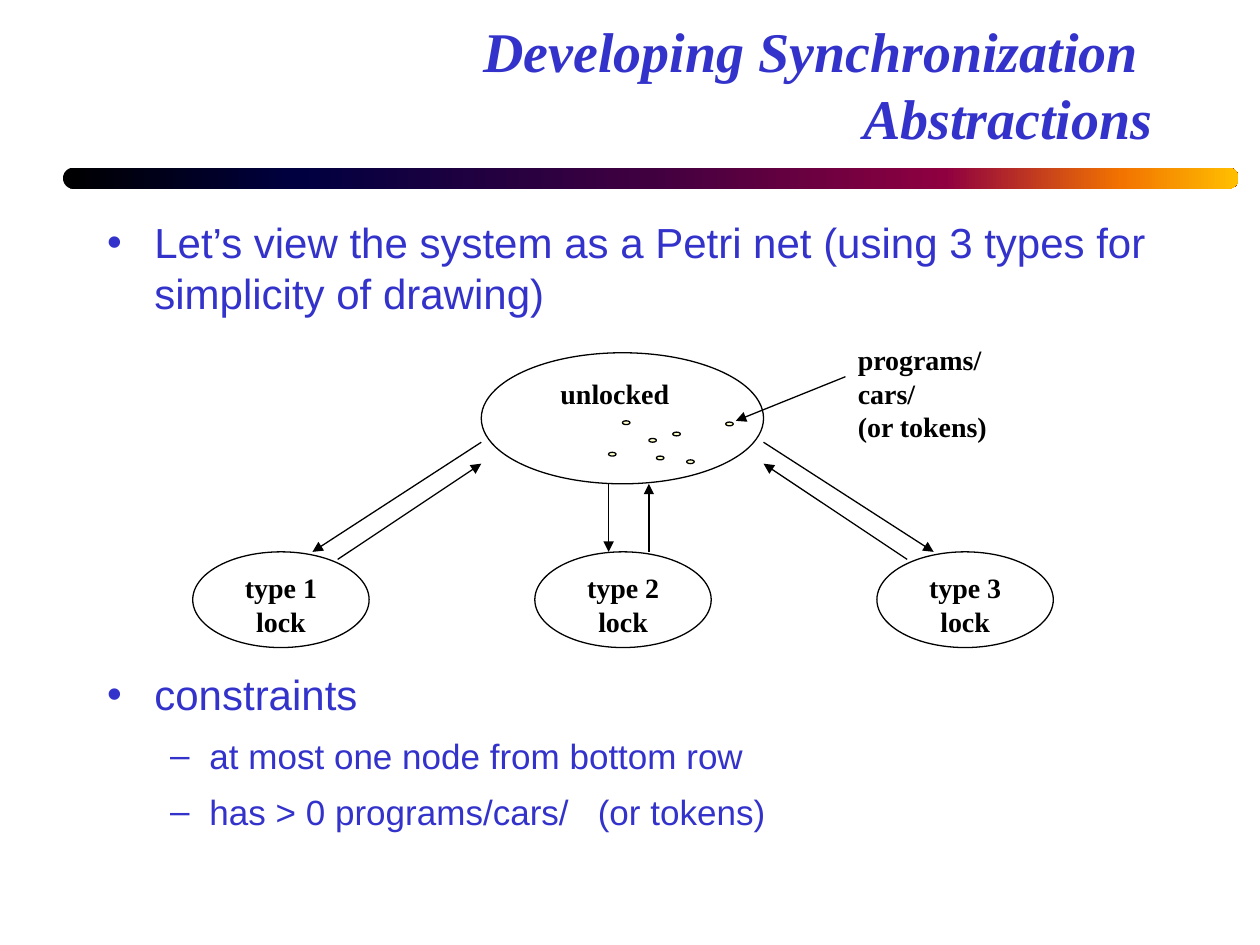
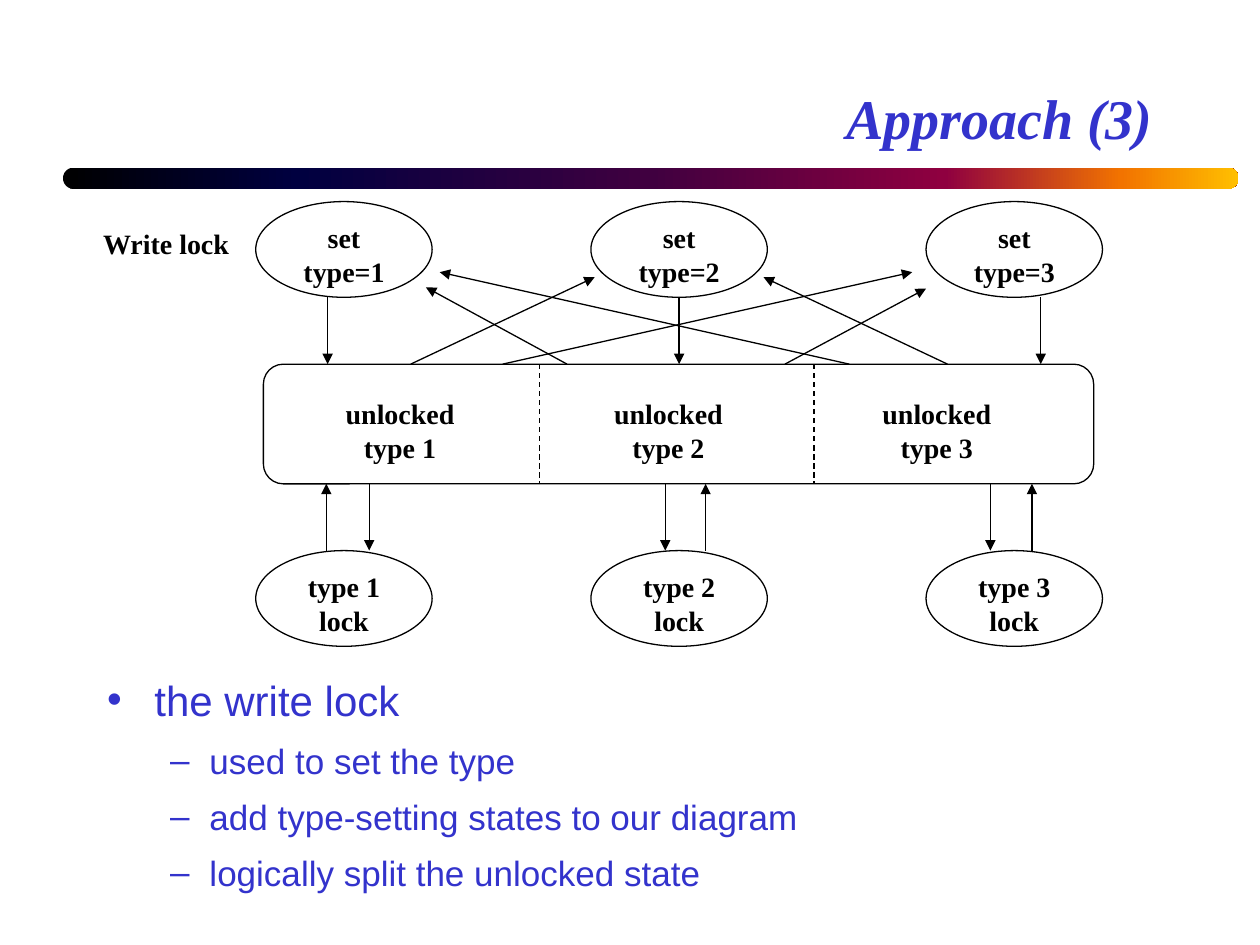
"""Build two slides that show locks as Petri nets."""
import copy
import dataclasses

import pptx
import pptx.dml.color
import pptx.enum.dml
import pptx.enum.shapes
import pptx.enum.text
import pptx.oxml
import pptx.oxml.ns
import pptx.util

Inches = pptx.util.Inches
Pt = pptx.util.Pt
SHAPE = pptx.enum.shapes.MSO_SHAPE
ALIGN = pptx.enum.text.PP_ALIGN
ANCHOR = pptx.enum.text.MSO_ANCHOR
SIZING = pptx.enum.text.MSO_AUTO_SIZE


@dataclasses.dataclass(frozen=True)
class Theme:
    """Colours, fonts and type sizes of both slides."""
    blue: str = "3333CC"
    ink: str = "000000"
    token: str = "FFFFCC"
    serif: str = "Times New Roman"
    sans: str = "Arial"
    title: int = 32
    levels: tuple = (24, 20)
    label: int = 16
    line: float = 0.75
    band: tuple = ((0, "000000"), (0.2, "000040"), (0.5, "400040"),
                   (0.75, "8F0040"), (0.9, "F27300"), (1, "FFBF00"))


THEME = Theme()
OVAL = (1.4, 0.76)


def rgb(code):
    """Turn a hex code into a colour."""
    return pptx.dml.color.RGBColor.from_string(code)


def place(shape, left, top, width, height):
    """Move and size a shape in inches."""
    shape.left, shape.top = Inches(left), Inches(top)
    shape.width, shape.height = Inches(width), Inches(height)


def style(para, face, size, color, bold=False, slant=False):
    """Format every run of a paragraph."""
    for run in para.runs:
        font = run.font
        font.name, font.size = face, Pt(size)
        font.bold, font.italic = bold, slant
        font.color.rgb = rgb(color)


def add_band(slide, layout):
    """Draw the gradient band and hand it to the layout."""
    band = slide.shapes.add_shape(SHAPE.ROUNDED_RECTANGLE, Inches(0.5),
                                  Inches(1.33), Inches(9.33), Inches(0.17))
    band.adjustments[0] = 0.5
    band.shadow.inherit = False
    band.line.fill.background()
    band.fill.gradient()
    band.fill.gradient_angle = 0
    stops = next(band._element.iter(pptx.oxml.ns.qn("a:gsLst")))
    while len(stops) < len(THEME.band):
        stops.append(copy.deepcopy(stops[0]))
    for stop, (pos, color) in zip(band.fill.gradient_stops, THEME.band):
        stop.position = pos
        stop.color.rgb = rgb(color)
    layout.shapes._spTree.insert(2, band._element)


def set_title(slide, text):
    """Write the title, right aligned above the band."""
    title = slide.shapes.title
    place(title, 0.75, 0.25, 8.5, 1)
    frame = title.text_frame
    frame.text = text
    frame.auto_size = SIZING.NONE
    frame.vertical_anchor = ANCHOR.BOTTOM
    para = frame.paragraphs[0]
    para.alignment = ALIGN.RIGHT
    style(para, THEME.serif, THEME.title, THEME.blue, True, True)


def set_body(slide, top, height, items):
    """Write (level, text) items as bullets and return the frame."""
    body = slide.placeholders[1]
    place(body, 0.75, top, 8.5, height)
    frame = body.text_frame
    frame.text = "\n".join(text for _, text in items)
    frame.auto_size = SIZING.NONE
    frame.vertical_anchor = ANCHOR.TOP
    for para, (level, _) in zip(frame.paragraphs, items):
        size = THEME.levels[level]
        para.level = level
        para.space_before = para.space_after = Pt(size * 0.2)
        style(para, THEME.sans, size, THEME.blue)
    return frame


def add_label(slide, text, box, align=ALIGN.LEFT, pad=None):
    """Add bold serif text, one paragraph a line."""
    frame = slide.shapes.add_textbox(*map(Inches, box)).text_frame
    frame.text = text
    frame.word_wrap = False
    frame.auto_size = SIZING.SHAPE_TO_FIT_TEXT
    if pad is not None:
        frame.margin_left = frame.margin_right = Inches(pad)
        frame.margin_top = frame.margin_bottom = Inches(pad)
    for para in frame.paragraphs:
        para.alignment = align
        style(para, THEME.serif, THEME.label, THEME.ink, True)


def add_form(slide, kind, box, fill=None):
    """Add a thinly outlined shape."""
    form = slide.shapes.add_shape(kind, *map(Inches, box))
    form.shadow.inherit = False
    form.line.color.rgb = rgb(THEME.ink)
    form.line.width = Pt(THEME.line)
    if fill:
        form.fill.solid()
        form.fill.fore_color.rgb = rgb(fill)
    else:
        form.fill.background()


def add_node(slide, left, top, text, width):
    """Add an oval with two centred lines of text."""
    add_form(slide, SHAPE.OVAL, (left, top, *OVAL))
    inset = (OVAL[0] - width) / 2
    add_label(slide, text, (left + inset, top + 0.15, width, 0.54),
              ALIGN.CENTER, 0)


def add_line(slide, ends, dash=False):
    """Add a dashed line or an arrow that points at its end."""
    link = slide.shapes.add_connector(
        pptx.enum.shapes.MSO_CONNECTOR.STRAIGHT, *map(Inches, ends))
    link.line.color.rgb = rgb(THEME.ink)
    link.line.width = Pt(THEME.line)
    qn = pptx.oxml.ns.qn
    if dash:
        link.line.dash_style = pptx.enum.dml.MSO_LINE.DASH
    else:
        tip = link.line._get_or_add_ln().makeelement(
            qn("a:tailEnd"), {"type": "triangle"})
        link.line._get_or_add_ln().append(tip)
    props = link._element.spPr
    props.append(props.makeelement(qn("a:effectLst"), {}))


def draw_net(slide):
    """Show one unlocked state above three lock states."""
    set_title(slide, "Developing Synchronization \vAbstractions")
    frame = set_body(slide, 1.67, 5, (
        (0, "Let’s view the system as a Petri net (using 3 types for "
            "simplicity of drawing)"),
        (0, "constraints"),
        (1, "at most one node from bottom row"),
        (1, "has > 0 programs/cars/   (or tokens)")))
    frame.paragraphs[1].space_before = Pt(196)
    add_form(slide, SHAPE.OVAL, (3.82, 2.8, 2.24, 1.04))
    for col in range(3):
        add_node(slide, 1.53 + col * 5.43 / 2, 4.38,
                 f"type {col + 1}\nlock", 0.58)
    for left, top in ((5.15, 3.48), (4.83, 3.59), (4.94, 3.34), (5.76, 3.35),
                      (5.21, 3.62), (5.45, 3.65), (5.34, 3.43)):
        add_form(slide, SHAPE.OVAL, (left, top, 0.06, 0.03), THEME.token)
    for ends in ((6.71, 2.99, 5.84, 3.34),
                 (3.82, 3.51, 2.48, 4.38), (2.68, 4.44, 3.82, 3.68),
                 (6.06, 3.51, 7.41, 4.38), (7.2, 4.44, 6.06, 3.68),
                 (4.83, 3.84, 4.83, 4.38), (5.15, 4.38, 5.15, 3.84)):
        add_line(slide, ends)
    add_label(slide, "programs/\ncars/\n(or tokens)", (6.71, 2.67, 1.24, 0.91))
    add_label(slide, "unlocked", (4.35, 2.94, 1.07, 0.37))


def draw_split(slide):
    """Show the unlocked state split by type, with set states above."""
    set_title(slide, "Approach (3)")
    frame = set_body(slide, 1.58, 5.08, (
        (0, "the write lock"),
        (1, "used to set the type"),
        (1, "add type-setting states to our diagram"),
        (1, "logically split the unlocked state")))
    frame.margin_top = Inches(3.77)
    high, low, base, foot = 2.36, 2.89, 3.84, 4.37
    add_form(slide, SHAPE.ROUNDED_RECTANGLE, (2.09, low, 6.59, base - low))
    downs, ups, sets = (2.93, 5.28, 7.86), (2.59, 5.6, 8.19), (2.6, 5.39, 8.26)
    for col in range(3):
        left, kind = 2.03 + 2.66 * col, col + 1
        add_node(slide, left, 1.6, f"set\ntype={kind}", 0.65)
        add_node(slide, left, foot, f"type {kind}\nlock", 0.58)
        add_label(slide, f"unlocked\ntype {kind}",
                  (2.64 + 2.13 * col, 3.1, 1.07, 0.64), ALIGN.CENTER)
        add_line(slide, (downs[col], base, downs[col], foot))
        add_line(slide, (ups[col], foot, ups[col], base))
        add_line(slide, (sets[col], high, sets[col], low))
    for edge in (4.28, 6.46):
        add_line(slide, (edge, low, edge, base), dash=True)
    for start, end, top in ((4.5, 3.38, 2.28), (6.23, 7.35, 2.29),
                            (6.74, 3.49, 2.16), (3.99, 7.24, 2.16),
                            (3.26, 4.72, 2.2), (7.52, 6.06, 2.2)):
        add_line(slide, (start, low, end, top))
    add_label(slide, "Write lock", (0.72, 1.75, 1.22, 0.37))


def main():
    """Build and save the slides."""
    deck = pptx.Presentation()
    deck.slide_width, deck.slide_height = Inches(10), Inches(7.5)
    layout = deck.slide_layouts[1]
    first, second = (deck.slides.add_slide(layout) for _ in range(2))
    add_band(first, layout)
    draw_net(first)
    draw_split(second)
    deck.save("out.pptx")


main()
